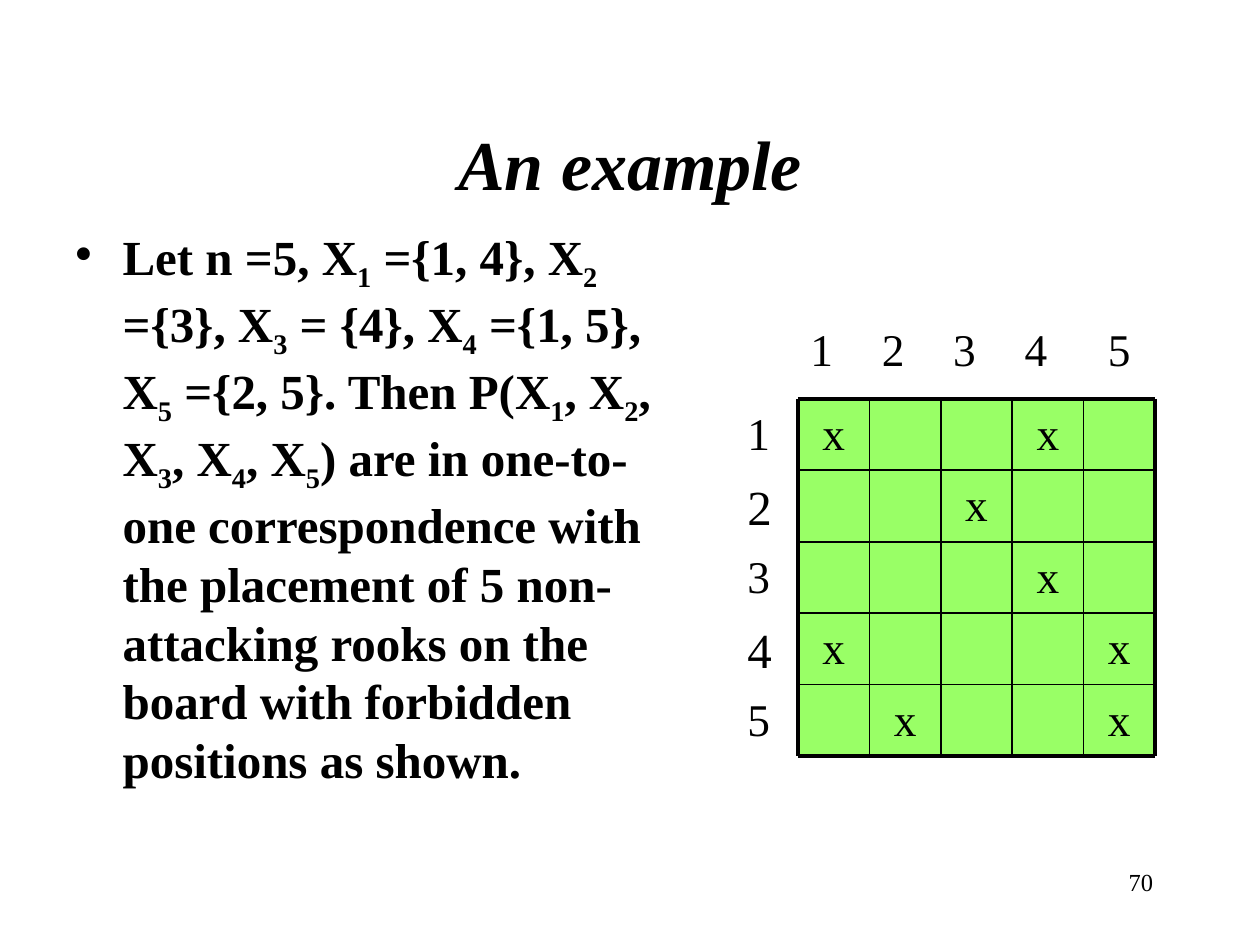
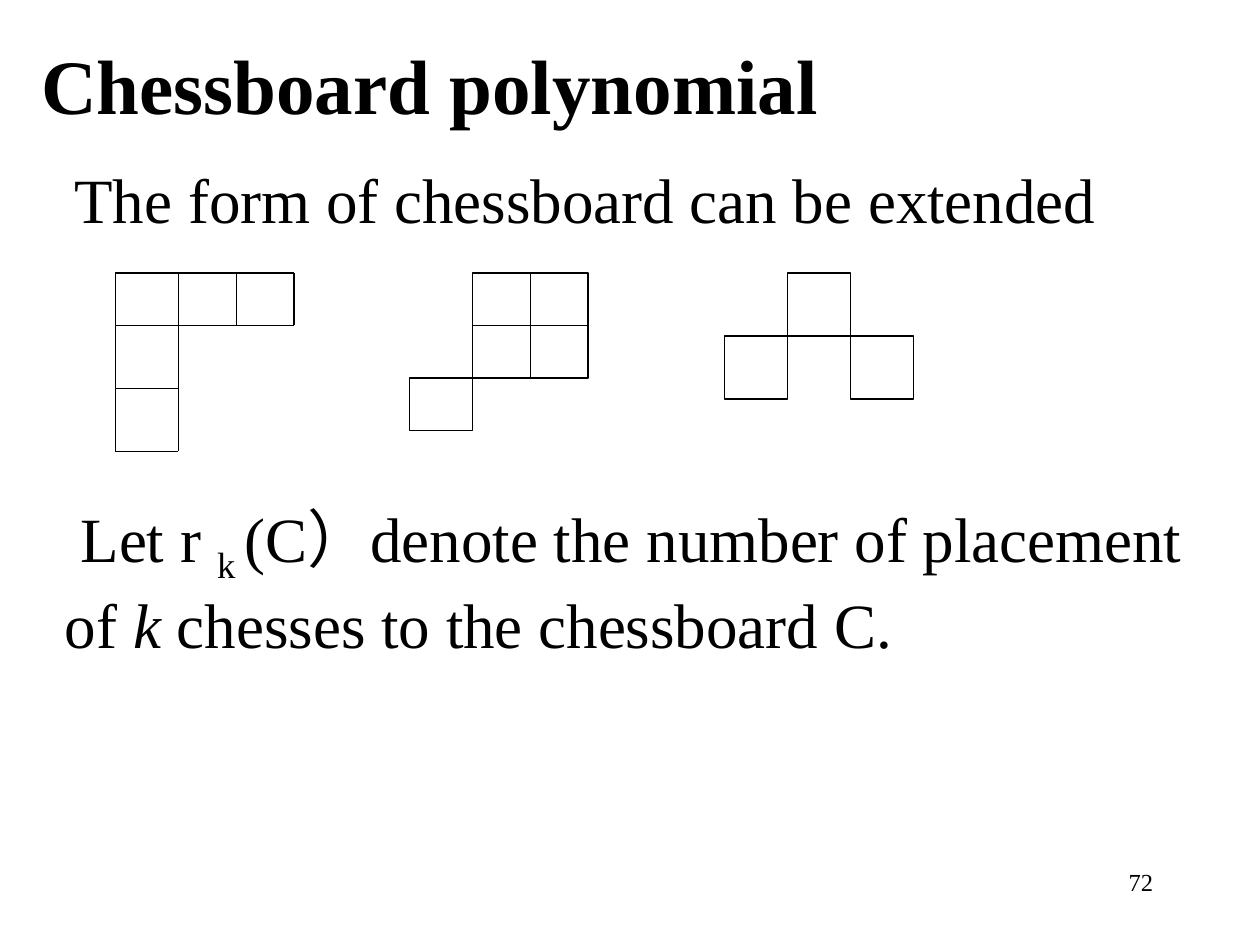
from dataclasses import dataclass

from lxml.etree import SubElement
from pptx import Presentation
from pptx.dml.color import RGBColor
from pptx.enum.shapes import MSO_CONNECTOR as Connector, MSO_SHAPE as Preset
from pptx.enum.text import MSO_ANCHOR as Anchor, PP_ALIGN as Align
from pptx.oxml.ns import qn
from pptx.util import Pt


@dataclass(frozen=True)
class Theme:
    font: str = "Times New Roman"
    ink: RGBColor = RGBColor(0, 0, 0)
    board: RGBColor = RGBColor(0x99, 0xFF, 0x66)
    number: float = 14
    mark: float = 25.9
    body: float = 28
    statement: float = 36
    title: float = 40
    heading: float = 44
    hairline: float = 0.75
    inner_line: float = 1
    border: float = 2.25


class Deck:
    def __init__(self, theme):
        self.theme = theme
        self.presentation = Presentation()
        self.presentation.slide_width = Pt(720)
        self.presentation.slide_height = Pt(540)
        self.slide = None

    def new_slide(self, number):
        self.slide = self.presentation.slides.add_slide(self.presentation.slide_layouts[6])
        self.text(516, 492, 150, 36, str(number), self.theme.number, align=Align.RIGHT)

    def set_text(self, shape, content, size, bold=False, italic=False, align=Align.LEFT,
                 anchor=Anchor.TOP, wrap=True, indent=0, bullet=False):
        """Fill a shape; content is a string or (text, style) runs, style "", "sub" or "italic"."""
        frame = shape.text_frame
        frame.word_wrap = wrap
        frame.vertical_anchor = anchor
        paragraph = frame.paragraphs[0]
        paragraph.alignment = align
        properties = paragraph._p.get_or_add_pPr()
        if bullet:
            properties.set("marL", str(Pt(27)))
            properties.set("indent", str(Pt(-27)))
            SubElement(properties, qn("a:buChar"), char="•")
        elif indent:
            properties.set("indent", str(Pt(indent)))
        font = paragraph.font
        font.name, font.size = self.theme.font, Pt(size)
        font.bold, font.italic = bold, italic
        font.color.rgb = self.theme.ink
        for text, style in [(content, "")] if isinstance(content, str) else content:
            run = paragraph.add_run()
            run.text = text
            if style == "sub":
                run.font._element.set("baseline", "-25000")
            elif style == "italic":
                run.font.italic = True

    def text(self, left, top, width, height, content, size, **style):
        box = self.slide.shapes.add_textbox(Pt(left), Pt(top), Pt(width), Pt(height))
        self.set_text(box, content, size, **style)

    def rectangle(self, left, top, width, height, fill=None):
        """Add a filled rectangle without outline, or an outlined one without fill."""
        shape = self.slide.shapes.add_shape(
            Preset.RECTANGLE, Pt(left), Pt(top), Pt(width), Pt(height))
        shape.shadow.inherit = False
        if fill is None:
            shape.fill.background()
            shape.line.color.rgb = self.theme.ink
            shape.line.width = Pt(self.theme.hairline)
        else:
            shape.fill.solid()
            shape.fill.fore_color.rgb = fill
            shape.line.fill.background()
        return shape

    def line(self, x1, y1, x2, y2, width):
        connector = self.slide.shapes.add_connector(
            Connector.STRAIGHT, Pt(x1), Pt(y1), Pt(x2), Pt(y2))
        connector.line.color.rgb = self.theme.ink
        connector.line.width = Pt(width)
        SubElement(connector._element.spPr, qn("a:effectLst"))
        return connector

    def split(self, rectangle, first_side, last_side):
        """Join the middles of two sides of a rectangle."""
        connector = self.line(0, 0, 0, 0, self.theme.hairline)
        connector.begin_connect(rectangle, first_side)
        connector.end_connect(rectangle, last_side)

    def rook_board(self, left, top, cell, forbidden):
        """Draw a numbered square board; forbidden lists the marked columns of each row."""
        theme, count = self.theme, len(forbidden)
        for row, columns in enumerate(forbidden):
            for column in range(count):
                square = self.rectangle(left + column * cell, top + row * cell,
                                        cell, cell, theme.board)
                if column + 1 in columns:
                    self.set_text(square, "x", theme.mark, align=Align.CENTER)
        end = count * cell
        for index in range(count + 1):
            width = theme.border if index in (0, count) else theme.inner_line
            offset = index * cell
            self.line(left, top + offset, left + end, top + offset, width)
            self.line(left + offset, top, left + offset, top + end, width)
        for index in range(count):
            label = str(index + 1)
            last = index == count - 1
            self.text(left + index * cell, top - 48, cell, cell, label, theme.mark,
                      align=Align.CENTER if last else Align.LEFT)
            self.text(left - 36, top + index * cell, 30, cell, label,
                      theme.body if index % 2 else theme.mark)


def subscripted(text):
    """Turn "X_1 = ..." into runs, the digit after each underscore being a subscript."""
    first, *rest = text.split("_")
    runs = [(first, "")]
    for part in rest:
        runs += [(part[0], "sub"), (part[1:], "")]
    return runs


def example_slide(deck):
    theme = deck.theme
    deck.new_slide(70)
    deck.text(54, 48, 612, 90, "An example", theme.title, bold=True, italic=True,
              align=Align.CENTER, anchor=Anchor.MIDDLE)
    example = subscripted(
        "Let n =5, X_1 ={1, 4}, X_2 ={3}, X_3 = {4}, X_4 ={1, 5}, X_5 ={2, 5}. "
        "Then P(X_1, X_2, X_3, X_4, X_5) are in one-to-one correspondence with the "
        "placement of 5 non-attacking rooks on the board with forbidden positions as shown.")
    deck.text(36, 126, 360, 356, example, theme.body, bold=True, bullet=True)
    deck.rook_board(456, 228, 40.8, [(1, 4), (3,), (4,), (1, 5), (2, 5)])


def polynomial_slide(deck):
    theme = deck.theme
    deck.new_slide(72)
    deck.text(16.5, 18, 637, 60.5, "Chessboard polynomial", theme.heading, bold=True)
    deck.text(35.5, 88, 607, 50.5, "The form of chessboard can be extended",
              theme.statement, wrap=False)

    top = 156
    corner_x, corner_y = (66, 102, 135, 168), (top, 186, 222, 258)
    for index in range(4):
        right = corner_x[-1] if index < 2 else corner_x[1]
        bottom = corner_y[-1] if index < 2 else corner_y[1]
        deck.line(corner_x[0], corner_y[index], right, corner_y[index], theme.hairline)
        deck.line(corner_x[index], top, corner_x[index], bottom, theme.hairline)

    block = deck.rectangle(270, top, 66, 60)
    deck.split(block, 0, 2)
    deck.split(block, 1, 3)
    deck.line(234, top + 60, 336, top + 60, theme.hairline)
    deck.rectangle(234, top + 60, 36, 30)

    side = 36
    for column, row in ((1, 0), (2, 1), (0, 1)):
        deck.rectangle(414 + column * side, top + row * side, side, side)

    definition = [("Let r ", ""), ("k ", "sub"), ("(C）denote the number of placement of ", ""),
                  ("k", "italic"), (" chesses to the chessboard C.", "")]
    deck.text(30, 282, 672, 100, definition, theme.statement, indent=9)


def main():
    deck = Deck(Theme())
    example_slide(deck)
    polynomial_slide(deck)
    deck.presentation.save("out.pptx")


if __name__ == "__main__":
    main()
